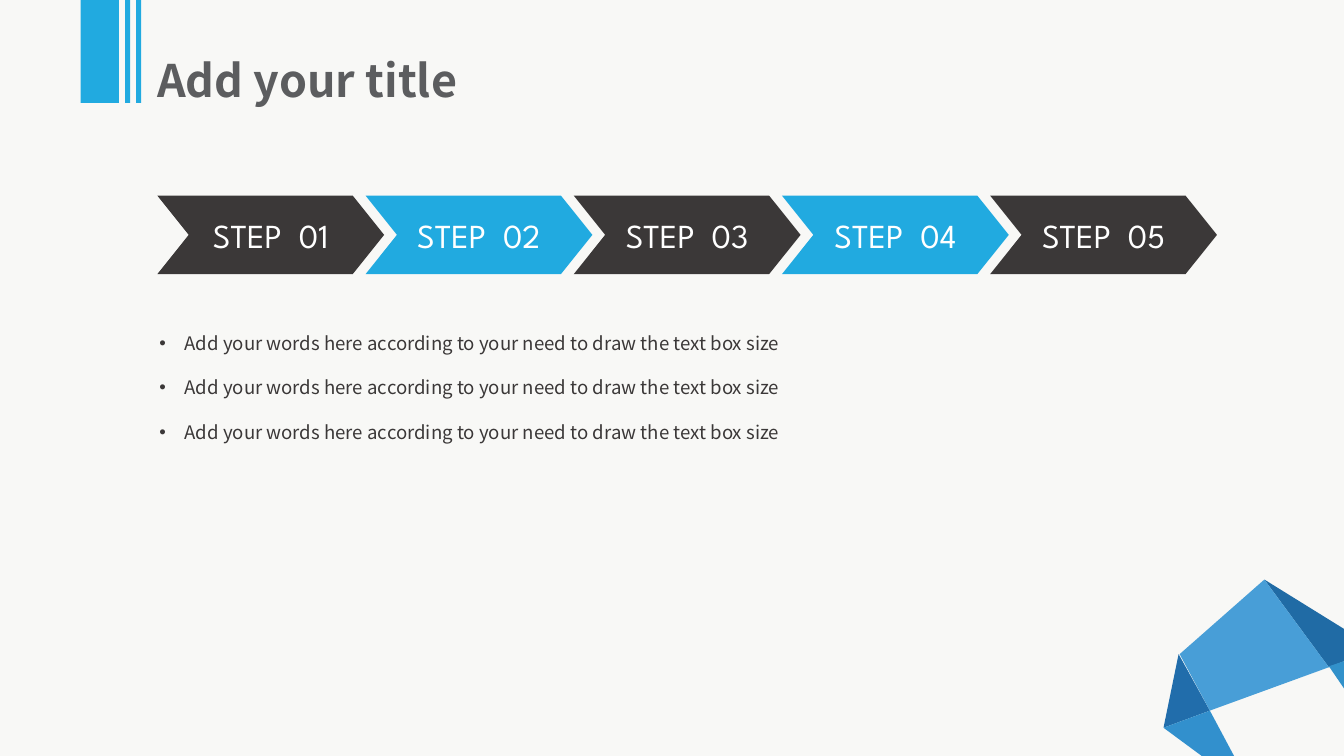
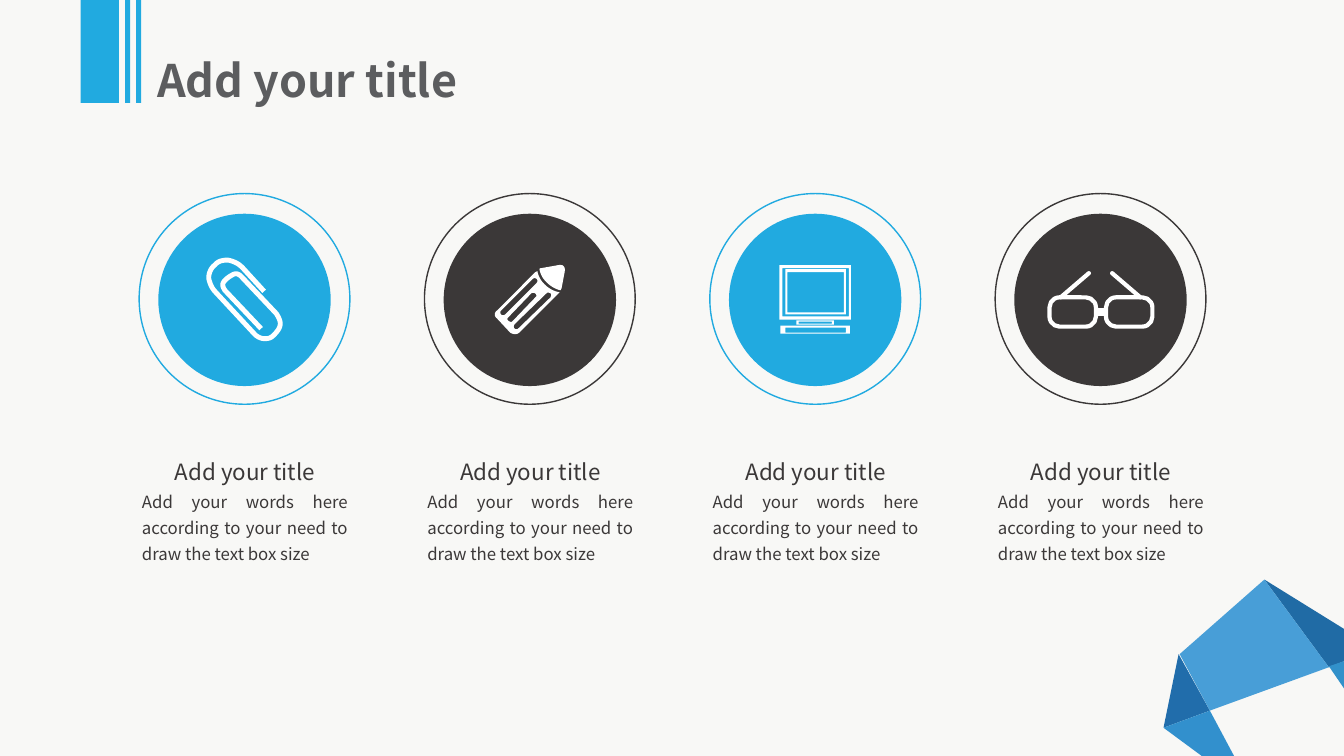
"""Build two infographic slides that share a ribbon, a folded-paper corner and a title style."""
from dataclasses import dataclass
from typing import Any, NamedTuple, Optional, Sequence

from lxml.etree import SubElement
from pptx import Presentation
from pptx.dml.color import RGBColor
from pptx.enum.shapes import MSO_CONNECTOR as Connector, MSO_SHAPE as Preset
from pptx.enum.text import MSO_ANCHOR as Anchor, MSO_AUTO_SIZE as AutoSize, PP_ALIGN as Align
from pptx.oxml.ns import qn
from pptx.util import Inches, Pt

Contour = Sequence[tuple[float, ...]]


@dataclass(frozen=True)
class Theme:
    paper: str = "F8F8F6"
    blue: str = "21AAE0"
    dark: str = "3B3838"
    title_gray: str = "5C5D5F"
    white: str = "FFFFFF"
    font: str = "Noto Sans CJK SC"
    step_font: str = "League Spartan"
    title_size: float = 32
    step_size: float = 24
    heading_size: float = 16
    list_size: float = 13.3
    caption_size: float = 12


class Area(NamedTuple):
    left: float
    top: float
    width: float
    height: float


class Facet(NamedTuple):
    color: str
    outline: Contour


class Look(NamedTuple):
    size: float
    color: str
    font: str
    bold: bool = False


THEME = Theme()
TITLE = "Add your title"
WORDS = "Add your words here according to your need to draw the text box size"
TITLE_LOOK = Look(THEME.title_size, THEME.title_gray, THEME.font, True)
STEP_LOOK = Look(THEME.step_size, THEME.white, THEME.step_font)
HEADING_LOOK = Look(THEME.heading_size, THEME.dark, THEME.font)
LIST_LOOK = Look(THEME.list_size, THEME.dark, THEME.font)
CAPTION_LOOK = Look(THEME.caption_size, THEME.dark, THEME.font)
PAIR = (THEME.blue, THEME.dark)

RIBBON = [Area(0.8, 0, 0.38, 1.02), Area(1.24, 0, 0.05, 1.02), Area(1.35, 0, 0.05, 1.02)]
FACETS = [
    Facet("216DAB", [(11.54, 7.22), (11.69, 6.49), (12, 7.05)]),
    Facet("206BA5", [(13.18, 6.62), (12.54, 5.75), (13.33, 6.24), (13.33, 6.56)]),
    Facet("3290CD", [(12.24, 7.5), (11.92, 7.5), (11.54, 7.22), (12, 7.05)]),
    Facet("489ED7", [(12, 7.05), (11.7, 6.49), (12.54, 5.75), (13.18, 6.62)]),
    Facet("3291CA", [(13.33, 6.83), (13.18, 6.61), (13.33, 6.56)]),
]
PAPERCLIP = [
    (2.62, 2.89), (2.4, 2.65), (2.36, 2.61, 2.31, 2.59, 2.26, 2.58),
    (2.21, 2.58, 2.16, 2.59, 2.13, 2.63), (2.09, 2.66, 2.07, 2.71, 2.07, 2.76),
    (2.08, 2.81, 2.1, 2.86, 2.14, 2.9), (2.53, 3.32),
    (2.55, 3.34, 2.59, 3.36, 2.62, 3.36), (2.65, 3.36, 2.68, 3.36, 2.71, 3.33),
    (2.74, 3.3, 2.78, 3.26, 2.78, 3.21), (2.78, 3.18, 2.76, 3.14, 2.74, 3.11),
    (2.39, 2.74), (2.36, 2.71, 2.33, 2.71, 2.3, 2.73),
    (2.26, 2.75, 2.2, 2.8, 2.21, 2.83), (2.21, 2.85, 2.22, 2.86, 2.23, 2.88), (2.59, 3.26),
]
PENCIL = [
    [(5.33, 2.69), (5.31, 2.7), (4.93, 3.08), (4.9, 3.1, 4.9, 3.14, 4.93, 3.16),
     (5.06, 3.3), (5.09, 3.32, 5.13, 3.32, 5.15, 3.3), (5.53, 2.92), (5.55, 2.9),
     (5.49, 2.89, 5.44, 2.86, 5.4, 2.82), (5.36, 2.78, 5.34, 2.74, 5.33, 2.69)],
    [(4.97, 3.12), (4.96, 3.11, 4.96, 3.09, 4.97, 3.08), (5.28, 2.77),
     (5.31, 2.74, 5.35, 2.78, 5.32, 2.81), (5.01, 3.12), (5, 3.13, 4.98, 3.13, 4.97, 3.12)],
    [(5.04, 3.18), (5.03, 3.17, 5.03, 3.16, 5.04, 3.15), (5.27, 2.91),
     (5.3, 2.89, 5.34, 2.93, 5.31, 2.95), (5.08, 3.19), (5.07, 3.2, 5.05, 3.19, 5.04, 3.18)],
    [(5.46, 2.91), (5.47, 2.92, 5.47, 2.93, 5.46, 2.95), (5.15, 3.25),
     (5.12, 3.29, 5.07, 3.25, 5.11, 3.21), (5.42, 2.91), (5.43, 2.9, 5.44, 2.9, 5.46, 2.91)],
    [(5.54, 2.63), (5.37, 2.66), (5.35, 2.66, 5.35, 2.67, 5.35, 2.67),
     (5.36, 2.72, 5.38, 2.76, 5.42, 2.8), (5.46, 2.84, 5.51, 2.87, 5.56, 2.88),
     (5.57, 2.86), (5.6, 2.7), (5.61, 2.65, 5.59, 2.62, 5.54, 2.63)],
]
COMPUTER = [
    Area(7.73, 2.63, 0.71, 0.54), Area(7.76, 2.66, 0.66, 0.48),
    Area(7.79, 2.67, 0.6, 0.45), Area(7.81, 2.7, 0.56, 0.4),
    Area(7.74, 3.23, 0.69, 0.08), Area(7.79, 3.25, 0.6, 0.05),
    Area(7.9, 3.18, 0.37, 0.04), Area(7.92, 3.19, 0.33, 0.02),
]


def inches(area: Area) -> list[int]:
    """Turn an area into lengths."""
    return [Inches(value) for value in area]


def assign(target: Any, values: dict[str, Any]) -> None:
    """Set each named format value on the target."""
    for name, value in values.items():
        setattr(target, name, value)


def paint(shape: Any, fill: Optional[str], line: Optional[str] = None, weight: float = 1) -> Any:
    """Give a shape its fill and line, without shadow."""
    shape.shadow.inherit = False
    for part, color in ((shape.fill, fill), (shape.line.fill, line)):
        if color:
            part.solid()
            part.fore_color.rgb = RGBColor.from_string(color)
        else:
            part.background()
    if line:
        shape.line.width = Pt(weight)
    return shape


def add_preset(page: Any, kind: Any, area: Area, fill: Optional[str],
               line: Optional[str] = None, weight: float = 1) -> Any:
    """Draw a painted preset shape."""
    return paint(page.shapes.add_shape(kind, *inches(area)), fill, line, weight)


def flatten(contour: Contour) -> list[tuple[int, int]]:
    """Turn corners and cubic curves into a list of points."""
    points = [contour[0]]
    for step in contour[1:]:
        if len(step) == 2:
            points.append(step)
            continue
        knots = (points[-1], step[:2], step[2:4], step[4:])
        for part in range(1, 9):
            t = part / 8
            weights = ((1 - t) ** 3, 3 * t * (1 - t) ** 2, 3 * t * t * (1 - t), t ** 3)
            points.append(tuple(sum(w * knot[axis] for w, knot in zip(weights, knots))
                                for axis in (0, 1)))
    return [(Inches(x), Inches(y)) for x, y in points]


def add_outline(page: Any, contours: Sequence[Contour], closed: bool = True) -> Any:
    """Draw one freeform from several contours."""
    first, *others = [flatten(contour) for contour in contours]
    builder = page.shapes.build_freeform(*first[0])
    builder.add_line_segments(first[1:], close=closed)
    for points in others:
        builder.move_to(*points[0])
        builder.add_line_segments(points[1:], close=closed)
    return builder.convert_to_shape()


def corners(area: Area) -> Contour:
    """List the corners of a rectangle."""
    left, top, width, height = area
    right, bottom = left + width, top + height
    return [(left, top), (right, top), (right, bottom), (left, bottom)]


def add_stroke(page: Any, start: tuple[float, float], end: tuple[float, float],
               weight: float) -> Any:
    """Draw a white round-ended line."""
    stroke = page.shapes.add_connector(Connector.STRAIGHT, *map(Inches, start + end))
    stroke.line.color.rgb = RGBColor.from_string(THEME.white)
    stroke.line.width = Pt(weight)
    stroke.line._get_or_add_ln().set("cap", "rnd")
    SubElement(stroke._element.spPr, qn("a:effectLst"))
    return stroke


def write(para: Any, text: str, look: Look, **layout: Any) -> Any:
    """Write one formatted span into a paragraph."""
    assign(para, layout)
    span = para.add_run()
    span.text = text
    assign(span.font, {"size": Pt(look.size), "name": look.font, "bold": look.bold})
    span.font.color.rgb = RGBColor.from_string(look.color)
    return span


def place(box: Any, area: Area) -> Any:
    """Move a box and return its top-anchored text frame."""
    assign(box, dict(zip(("left", "top", "width", "height"), inches(area))))
    assign(box.text_frame, {"word_wrap": True, "auto_size": AutoSize.NONE,
                            "vertical_anchor": Anchor.TOP})
    return box.text_frame


def add_page(deck: Any, layout: int) -> Any:
    """Add a slide with the shared title."""
    page = deck.slides.add_slide(deck.slide_layouts[layout])
    frame = place(page.shapes.title, Area(1.56, 0.42, 3.97, 0.65))
    assign(frame, dict.fromkeys(("margin_left", "margin_top", "margin_right", "margin_bottom"), 0))
    write(frame.paragraphs[0], TITLE, TITLE_LOOK, alignment=Align.LEFT, line_spacing=1.2)
    return page


def decorate_master(deck: Any, page: Any) -> None:
    """Put the background, paper corner and ribbon on the slide master."""
    master = deck.slide_master
    master.background.fill.solid()
    master.background.fill.fore_color.rgb = RGBColor.from_string(THEME.paper)
    decor = [paint(add_outline(page, [facet.outline]), facet.color) for facet in FACETS]
    decor += [add_preset(page, Preset.RECTANGLE, bar, THEME.blue) for bar in RIBBON]
    for index, shape in enumerate(decor):
        shape.element.nvSpPr.cNvPr.set("id", str(100 + index))
        master.shapes.element.insert(2 + index, shape.element)


def fill_steps(page: Any) -> None:
    """Draw the chevron row and the bullet list."""
    first, last, count = 1.56, 9.82, 5
    for index in range(count):
        left = first + index * (last - first) / (count - 1)
        chevron = add_preset(page, Preset.CHEVRON, Area(left, 1.94, 2.25, 0.78),
                             PAIR[(index + 1) % 2])
        chevron.adjustments[0] = 0.4
        chevron.text_frame.vertical_anchor = Anchor.MIDDLE
        para = chevron.text_frame.paragraphs[0]
        write(para, "STEP", STEP_LOOK, alignment=Align.CENTER)
        gap = write(para, " ", STEP_LOOK)
        gap._r.get_or_add_rPr().set("spc", "600")
        write(para, f"{index + 1:02}", STEP_LOOK)
    frame = place(page.placeholders[1], Area(1.47, 3.13, 10.4, 1.34))
    for index in range(3):
        para = frame.add_paragraph() if index else frame.paragraphs[0]
        properties = para._p.get_or_add_pPr()
        properties.set("marL", str(Inches(0.26)))
        properties.set("indent", str(Inches(-0.25)))
        write(para, WORDS, LIST_LOOK, alignment=Align.JUSTIFY, line_spacing=1.5,
              space_before=Pt(8 if index else 0))


def add_glasses(page: Any) -> None:
    """Draw two lenses, their bridge and the temples."""
    lenses = []
    for left, hinge, tip in ((10.41, 10.52, 10.8), (10.97, 11.31, 11.03)):
        lens = add_preset(page, Preset.ROUNDED_RECTANGLE, Area(left, 2.95, 0.46, 0.29),
                          None, THEME.white, 3)
        lens.adjustments[0] = 0.34
        lenses.append(lens)
        add_stroke(page, (hinge, 2.95), (tip, 2.71), 3)
    bridge = add_stroke(page, (10.87, 3.1), (10.97, 3.1), 6)
    bridge.line._get_or_add_ln().set("cap", "flat")
    bridge.begin_connect(lenses[0], 3)
    bridge.end_connect(lenses[1], 1)


def fill_icons(page: Any) -> None:
    """Draw four ringed icons with captions."""
    for index in range(4):
        shift, color = index * 2.83, PAIR[index % 2]
        add_preset(page, Preset.OVAL, Area(1.57 + shift, 2.12, 1.71, 1.71), color)
        add_preset(page, Preset.OVAL, Area(1.38 + shift, 1.92, 2.09, 2.09), None, color)
        area = Area(1.31 + shift, 4.42, 2.24, 1.24)
        frame = place(page.shapes.add_textbox(*inches(area)), area)
        write(frame.paragraphs[0], TITLE, HEADING_LOOK, alignment=Align.CENTER, line_spacing=1.3)
        write(frame.add_paragraph(), WORDS, CAPTION_LOOK, alignment=Align.JUSTIFY,
              line_spacing=1.3)
    paint(add_outline(page, [PAPERCLIP], closed=False), None, THEME.white, 3.5)
    paint(add_outline(page, PENCIL), THEME.white)
    paint(add_outline(page, [corners(area) for area in COMPUTER]), THEME.white)
    add_glasses(page)


def main() -> None:
    """Build and save the deck."""
    deck = Presentation()
    assign(deck, {"slide_width": Inches(13.33), "slide_height": Inches(7.5)})
    steps = add_page(deck, 1)
    decorate_master(deck, steps)
    fill_steps(steps)
    fill_icons(add_page(deck, 5))
    deck.save("out.pptx")


if __name__ == "__main__":
    main()
